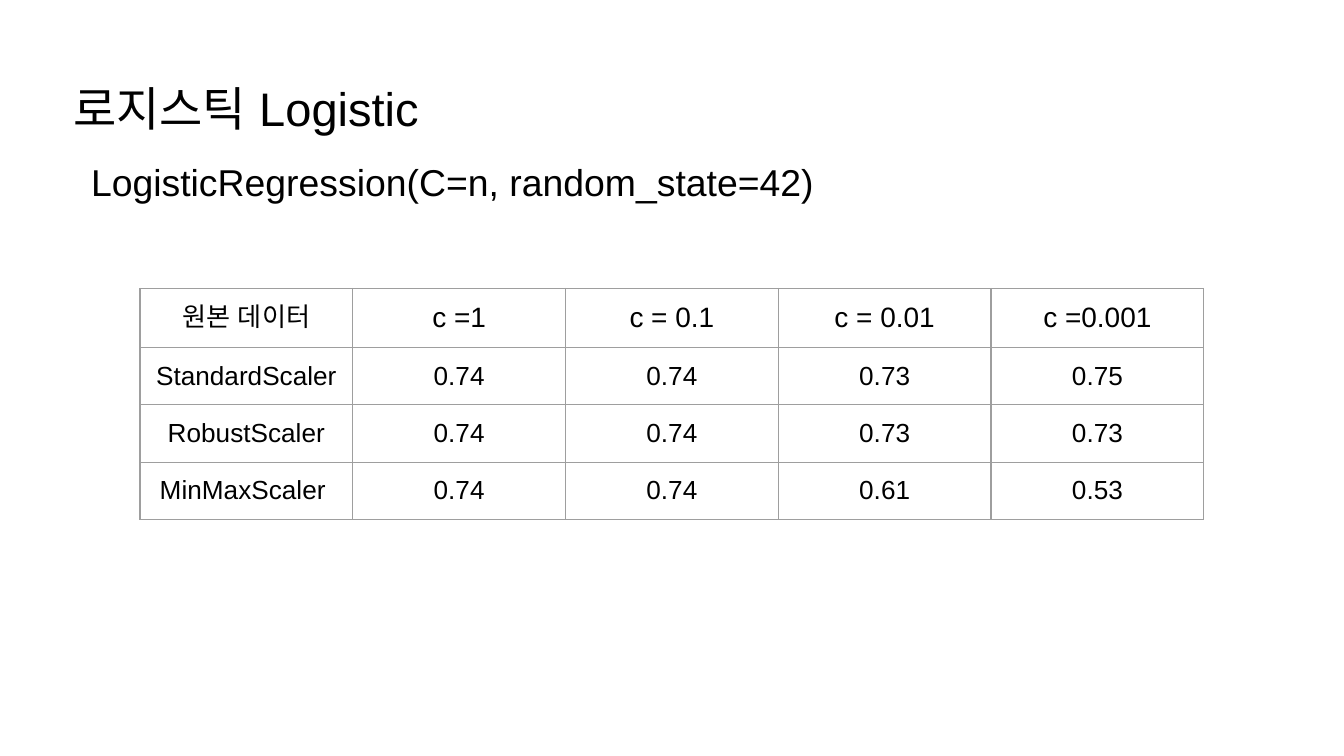
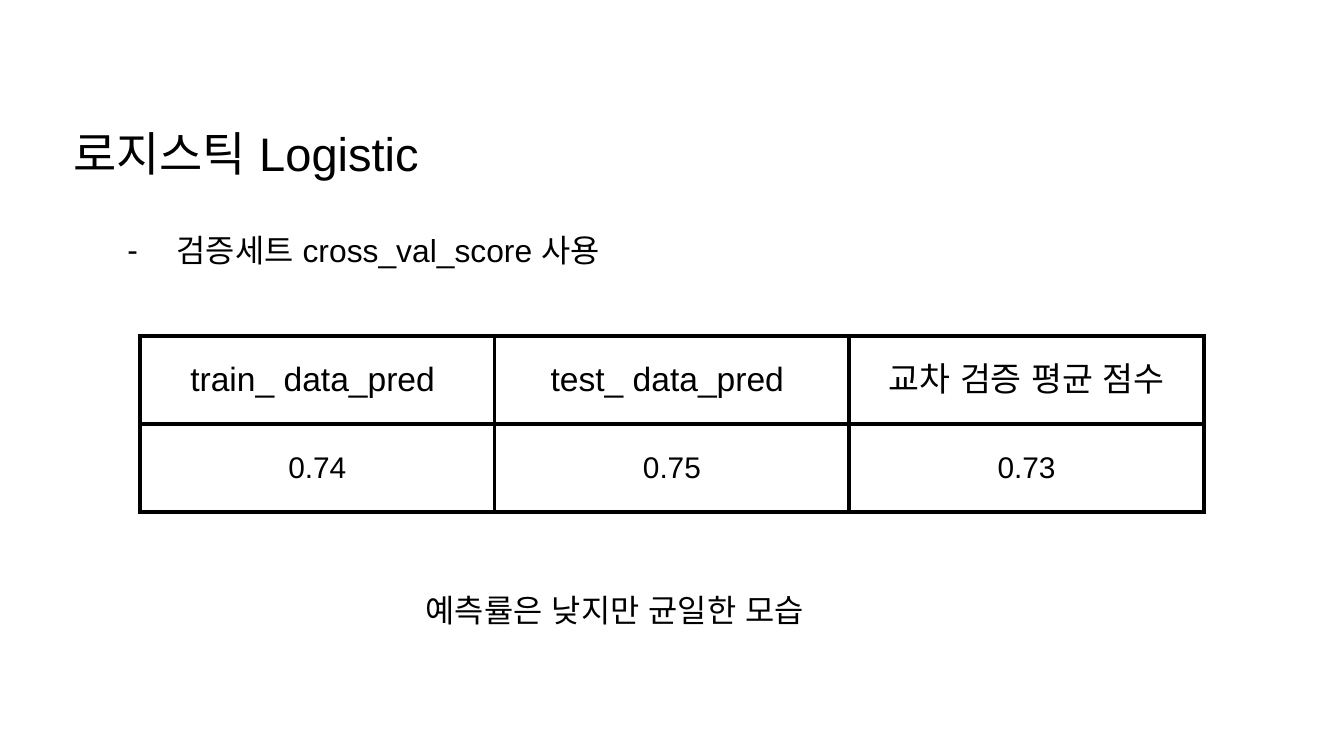
from dataclasses import dataclass

from lxml import etree
from pptx import Presentation
from pptx.dml.color import RGBColor
from pptx.enum.text import MSO_ANCHOR, MSO_AUTO_SIZE, PP_ALIGN
from pptx.oxml.ns import qn
from pptx.slide import Slide
from pptx.text.text import TextFrame
from pptx.util import Pt

PX = 9525  # EMU in one px, 96 px to the inch
WIDE, HIGH = 960, 540
BLANK = 6
LEFT, CENTER = PP_ALIGN.LEFT, PP_ALIGN.CENTER
TOP, MIDDLE = MSO_ANCHOR.TOP, MSO_ANCHOR.MIDDLE
GROW, FIXED = MSO_AUTO_SIZE.SHAPE_TO_FIT_TEXT, MSO_AUTO_SIZE.NONE


@dataclass(frozen=True)
class Theme:
    font: str = "Arial"
    ink: str = "000000"
    paper: str = "FFFFFF"
    rule: str = "9E9E9E"
    title: float = 25.2
    lead: float = 20
    note: float = 17
    score: float = 16
    large: float = 18
    head: float = 15
    body: float = 14


THEME = Theme()


@dataclass(frozen=True)
class Label:
    text: str
    left: int
    top: int
    width: int
    height: int
    size: float
    fit: MSO_AUTO_SIZE = GROW
    dash: bool = False


@dataclass(frozen=True)
class Grid:
    top: int
    row: int
    color: str
    line: float
    corner: float
    head: float
    body: float
    cells: tuple[tuple[str, ...], ...]
    left: int = 100
    width: int = 760

    def size(self, row: int, col: int) -> float:
        if row:
            return self.body
        return self.head if col else self.corner


@dataclass(frozen=True)
class Page:
    title: int
    labels: tuple[Label, ...]
    grid: Grid


PAGES = (
    Page(
        47,
        (Label("LogisticRegression(C=n, random_state=42)", 55, 104, 708, 52, THEME.lead),),
        Grid(206, 40, THEME.rule, 0.75, THEME.body, THEME.head, THEME.body, (
            ("원본 데이터", "c =1", "c = 0.1", "c = 0.01", "c =0.001"),
            ("StandardScaler ", "0.74", "0.74", "0.73", "0.75"),
            ("RobustScaler", "0.74", "0.74", "0.73", "0.73"),
            ("MinMaxScaler ", "0.74", "0.74", "0.61", "0.53"),
        )),
    ),
    Page(
        79,
        (
            Label("예측률은 낮지만 균일한 모습", 294, 412, 429, 47, THEME.note),
            Label("검증세트 cross_val_score 사용", 68, 155, 403, 47, THEME.note, dash=True),
        ),
        Grid(240, 63, THEME.ink, 2.25, THEME.large, THEME.large, THEME.score, (
            ("train_ data_pred ", "test_ data_pred ", "교차 검증 평균 점수"),
            ("0.74", "0.75", "0.73"),
        )),
    ),
)

INSET = dict.fromkeys(("margin_left", "margin_top", "margin_right", "margin_bottom"), 10 * PX)


def apply(target: object, values: dict) -> None:
    for name, value in values.items():
        setattr(target, name, value)


def write(frame: TextFrame, text: str, size: float, align: PP_ALIGN) -> None:
    par = frame.paragraphs[0]
    par.alignment = align
    run = par.add_run()
    run.text = text
    apply(run.font, {"name": THEME.font, "size": Pt(size)})
    run.font.color.rgb = RGBColor.from_string(THEME.ink)
    for tag in ("a:ea", "a:cs"):
        etree.SubElement(run.font._element, qn(tag), typeface=THEME.font)


def add_dash(frame: TextFrame, size: float) -> None:
    props = frame.paragraphs[0]._p.get_or_add_pPr()
    props.set("marL", str(48 * PX))
    props.set("indent", str(-35 * PX))
    color = etree.SubElement(props, qn("a:buClr"))
    etree.SubElement(color, qn("a:srgbClr"), val=THEME.ink)
    etree.SubElement(props, qn("a:buSzPts"), val=str(round(size * 100)))
    etree.SubElement(props, qn("a:buFont"), typeface=THEME.font)
    etree.SubElement(props, qn("a:buChar"), char="-")


def add_label(slide: Slide, label: Label) -> None:
    place = (label.left, label.top, label.width, label.height)
    frame = slide.shapes.add_textbox(*(n * PX for n in place)).text_frame
    apply(frame, INSET | {"word_wrap": True, "auto_size": label.fit,
                          "vertical_anchor": TOP})
    write(frame, label.text, label.size, LEFT)
    if label.dash:
        add_dash(frame, label.size)


def add_edges(props: etree._Element, color: str, width: float) -> None:
    for side in "LRTB":
        line = etree.SubElement(props, qn(f"a:ln{side}"), w=str(Pt(width)))
        fill = etree.SubElement(line, qn("a:solidFill"))
        etree.SubElement(fill, qn("a:srgbClr"), val=color)


def add_grid(slide: Slide, grid: Grid) -> None:
    rows, cols = len(grid.cells), len(grid.cells[0])
    place = (grid.left, grid.top, grid.width, grid.row * rows)
    table = slide.shapes.add_table(rows, cols, *(n * PX for n in place)).table
    apply(table, {"first_row": False, "horz_banding": False})
    for r, texts in enumerate(grid.cells):
        for c, text in enumerate(texts):
            cell = table.cell(r, c)
            apply(cell, INSET | {"vertical_anchor": MIDDLE})
            add_edges(cell._tc.get_or_add_tcPr(), grid.color, grid.line)
            cell.fill.background()
            write(cell.text_frame, text, grid.size(r, c), CENTER)


def add_page(deck: Presentation, page: Page) -> None:
    slide = deck.slides.add_slide(deck.slide_layouts[BLANK])
    back = slide.background.fill
    back.solid()
    back.fore_color.rgb = RGBColor.from_string(THEME.paper)
    add_label(slide, Label(" 로지스틱 Logistic", 33, page.title, 895, 60, THEME.title, FIXED))
    add_grid(slide, page.grid)
    for label in page.labels:
        add_label(slide, label)


def main() -> None:
    deck = Presentation()
    apply(deck, {"slide_width": WIDE * PX, "slide_height": HIGH * PX})
    for page in PAGES:
        add_page(deck, page)
    deck.save("out.pptx")


if __name__ == "__main__":
    main()
